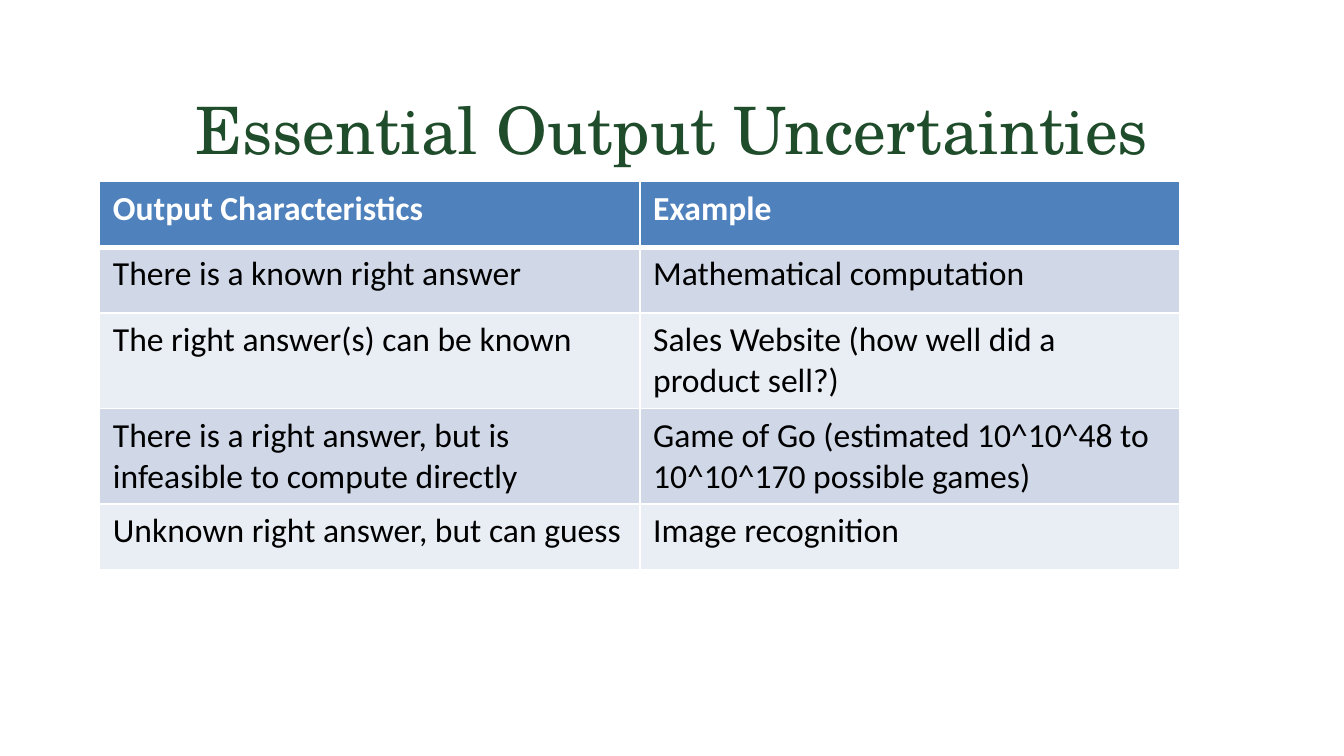
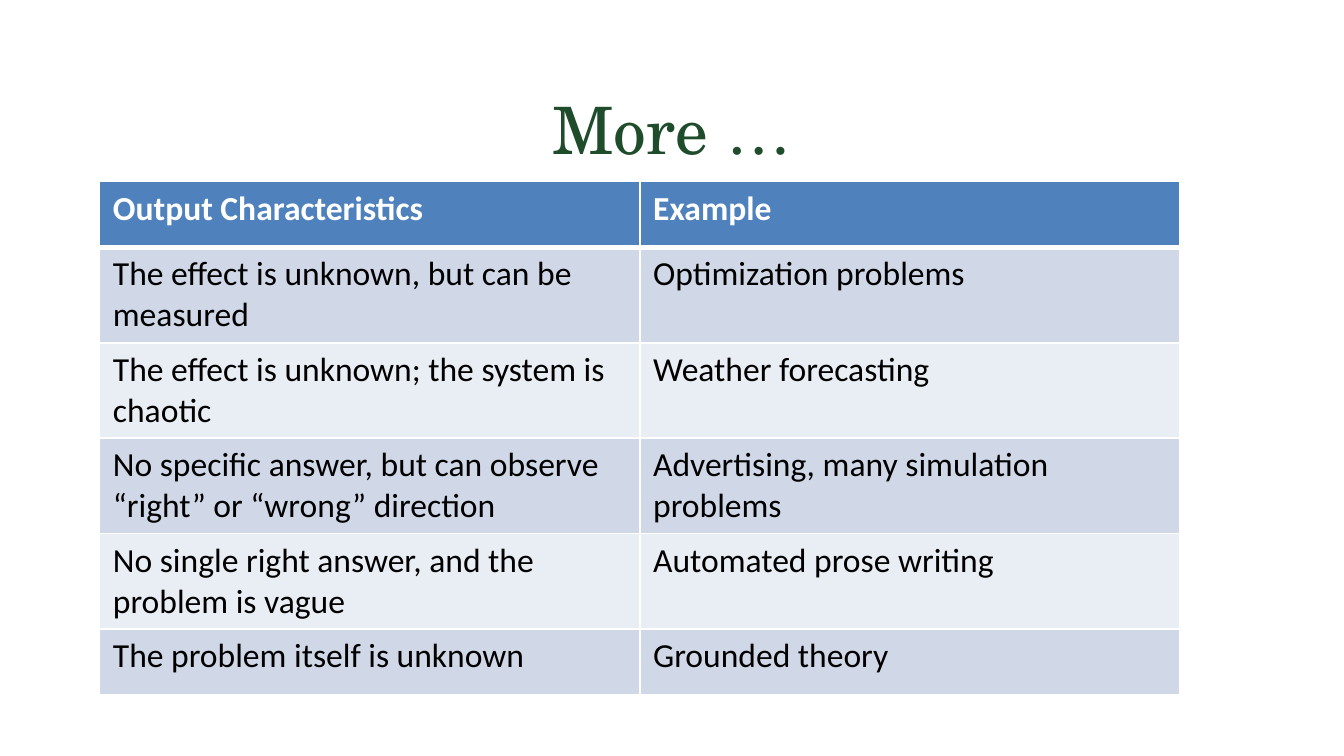
import pptx
import pptx.dml.color
import pptx.enum.text
import pptx.oxml.ns
import pptx.util
from lxml import etree
from pptx.util import Inches

TITLE_FONT, BODY_FONT = "TeX Gyre Schola", "Calibri"
GREEN, BLUE, WHITE, BLACK = "1F4C2A", "4F81BD", "FFFFFF", "000000"
BANDS = ("D0D8E8", "E9EDF4")
SLIDE_WIDTH = 10
LEFT, COLUMN_WIDTH, ROW_HEIGHT = 0.74, 4.02, 0.49
HEADER = ("Output Characteristics", "Example")

SLIDES = [
    ("Essential Output Uncertainties", [
        ("There is a known right answer", "Mathematical computation"),
        ("The right answer(s) can be known",
         "Sales Website (how well did a product sell?)"),
        ("There is a right answer, but is infeasible to compute directly",
         "Game of Go (estimated 10^10^48 to 10^10^170 possible games)"),
        ("Unknown right answer, but can guess", "Image recognition"),
    ]),
    ("More …", [
        ("The effect is unknown, but can be measured", "Optimization problems"),
        ("The effect is unknown; the system is chaotic", "Weather forecasting"),
        ("No specific answer, but can observe “right” or “wrong” direction",
         "Advertising, many simulation problems"),
        ("No single right answer, and the problem is vague",
         "Automated prose writing"),
        ("The problem itself is unknown", "Grounded theory"),
    ]),
]


def rgb(value):
    """Turn a hex string into a colour."""
    return pptx.dml.color.RGBColor.from_string(value)


def set_font(p, name, size, color, bold=False):
    """Set the font of a whole paragraph."""
    p.font.name = name
    p.font.size = pptx.util.Pt(size)
    p.font.bold = bold
    p.font.color.rgb = rgb(color)


def add_title(slide, text):
    """Add the centred slide title."""
    sp = slide.shapes.add_textbox(Inches(LEFT), Inches(0.56), Inches(8.52), Inches(0.79))
    tf = sp.text_frame
    tf.word_wrap = True
    tf.vertical_anchor = pptx.enum.text.MSO_ANCHOR.MIDDLE
    p = tf.paragraphs[0]
    p.text = text
    p.alignment = pptx.enum.text.PP_ALIGN.CENTER
    set_font(p, TITLE_FONT, 35, GREEN)


def set_borders(cell, **widths):
    """Draw white cell borders with widths in points, keyed L, R, T and B."""
    qn = pptx.oxml.ns.qn
    tc_pr = cell._tc.get_or_add_tcPr()
    for side, width in widths.items():
        line = etree.SubElement(tc_pr, qn(f"a:ln{side}"), w=str(pptx.util.Pt(width)))
        fill = etree.SubElement(line, qn("a:solidFill"))
        etree.SubElement(fill, qn("a:srgbClr"), val=WHITE)


def fill_cell(cell, text, row):
    """Write and style one cell according to its row number."""
    is_header = row == 0
    p = cell.text_frame.paragraphs[0]
    p.text = text
    set_font(p, BODY_FONT, 18, WHITE if is_header else BLACK, is_header)
    cell.margin_bottom = Inches(0.06)
    set_borders(cell, L=1, R=1, T=3 if row == 1 else 1, B=3 if is_header else 1)
    cell.fill.solid()
    cell.fill.fore_color.rgb = rgb(BLUE if is_header else BANDS[(row - 1) % 2])


def add_banded_table(slide, rows):
    """Add a table with a header row and alternating bands."""
    table = slide.shapes.add_table(
        len(rows), len(HEADER), Inches(LEFT), Inches(1.35),
        Inches(COLUMN_WIDTH * len(HEADER)), Inches(ROW_HEIGHT * len(rows))).table
    for column in table.columns:
        column.width = Inches(COLUMN_WIDTH)
    for i, values in enumerate(rows):
        table.rows[i].height = Inches(ROW_HEIGHT)
        for j, text in enumerate(values):
            fill_cell(table.cell(i, j), text, i)


def main():
    """Build and save the presentation."""
    prs = pptx.Presentation()
    prs.slide_width = Inches(SLIDE_WIDTH)
    prs.slide_height = Inches(SLIDE_WIDTH * 9 / 16)
    for title, rows in SLIDES:
        slide = prs.slides.add_slide(prs.slide_layouts[6])
        add_title(slide, title)
        add_banded_table(slide, [HEADER] + rows)
    prs.save("out.pptx")


if __name__ == "__main__":
    main()
